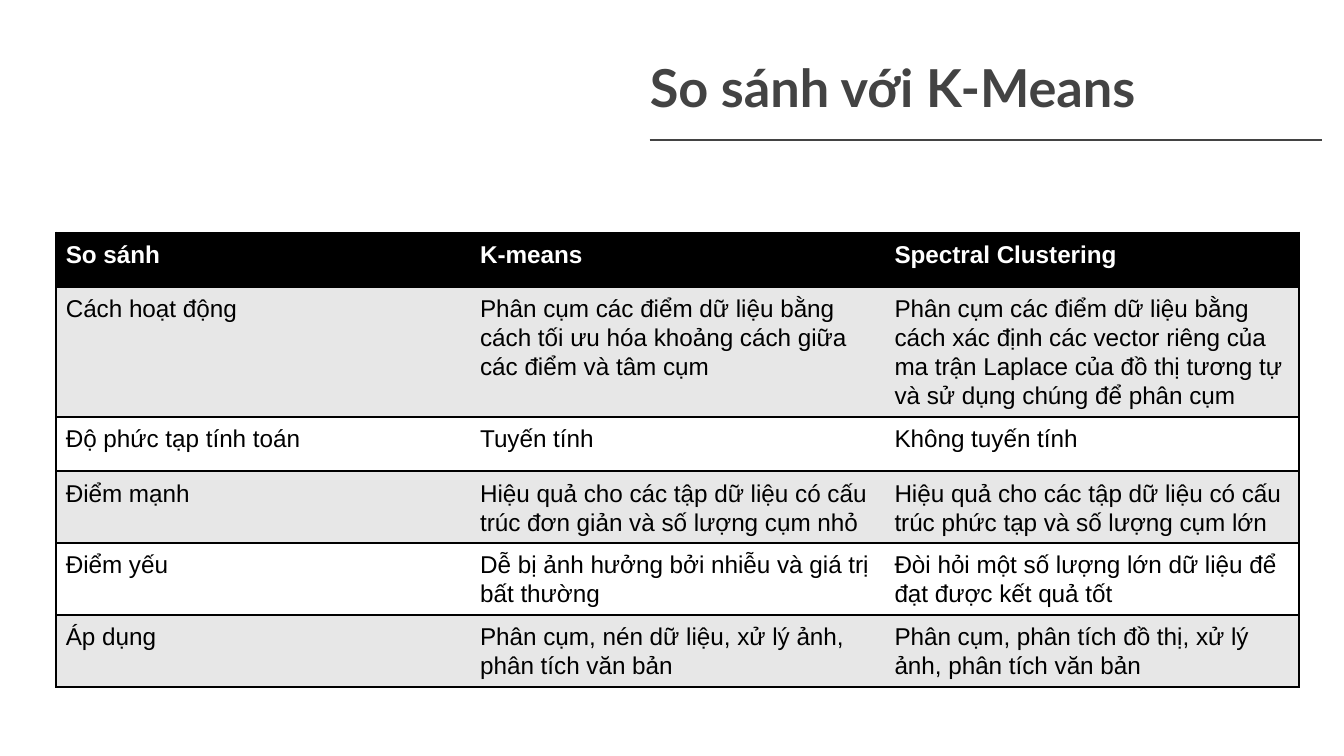
from dataclasses import dataclass

from lxml import etree
from pptx import Presentation
from pptx import util as u
from pptx.dml.color import RGBColor
from pptx.enum import shapes, text
from pptx.oxml.ns import qn

PX = 9525


@dataclass(frozen=True)
class Theme:
    ink: str = "434343"
    black: str = "000000"
    white: str = "FFFFFF"
    band: str = "E7E7E7"
    title_font: str = "Lato"
    body_font: str = "Arial"
    title_size: int = 28
    body_size: int = 13
    rule_width: float = 0.75
    border_width: int = 1


@dataclass(frozen=True)
class Row:
    topic: str
    k_means: str
    spectral: str

    def texts(self) -> tuple[str, str, str]:
        return self.topic, self.k_means, self.spectral


THEME = Theme()
ROWS = [
    Row("So sánh", "K-means", "Spectral Clustering"),
    Row(
        "Cách hoạt động",
        "Phân cụm các điểm dữ liệu bằng cách tối ưu hóa khoảng cách giữa các điểm và tâm cụm",
        "Phân cụm các điểm dữ liệu bằng cách xác định các vector riêng của ma trận Laplace "
        "của đồ thị tương tự và sử dụng chúng để phân cụm",
    ),
    Row("Độ phức tạp tính toán", "Tuyến tính", "Không tuyến tính"),
    Row(
        "Điểm mạnh",
        "Hiệu quả cho các tập dữ liệu có cấu trúc đơn giản và số lượng cụm nhỏ",
        "Hiệu quả cho các tập dữ liệu có cấu trúc phức tạp và số lượng cụm lớn",
    ),
    Row(
        "Điểm yếu",
        "Dễ bị ảnh hưởng bởi nhiễu và giá trị bất thường",
        "Đòi hỏi một số lượng lớn dữ liệu để đạt được kết quả tốt",
    ),
    Row(
        "Áp dụng",
        "Phân cụm, nén dữ liệu, xử lý ảnh, phân tích văn bản",
        "Phân cụm, phân tích đồ thị, xử lý ảnh, phân tích văn bản",
    ),
]


def px(length: int) -> u.Emu:
    return u.Emu(length * PX)


def set_margins(box, horizontal: int, vertical: int) -> None:
    box.margin_left = box.margin_right = px(horizontal)
    box.margin_top = box.margin_bottom = px(vertical)


def style_font(para, name: str, size: int, color: str, bold: bool) -> None:
    para.font.name = name
    para.font.size = u.Pt(size)
    para.font.bold = bold
    para.font.color.rgb = RGBColor.from_string(color)


def draw_rule(page, left: int, right: int, top: int) -> None:
    rule = page.shapes.add_connector(
        shapes.MSO_CONNECTOR.STRAIGHT, px(left), px(top), px(right), px(top)
    )
    rule.line.color.rgb = RGBColor.from_string(THEME.ink)
    rule.line.width = u.Pt(THEME.rule_width)
    etree.SubElement(rule._element.spPr, qn("a:effectLst"))


def draw_title(page, wording: str) -> None:
    title = page.shapes.title
    title.left, title.top, title.width, title.height = px(315), px(8), px(645), px(108)
    frame = title.text_frame
    frame.text = wording
    frame.word_wrap = True
    frame.auto_size = text.MSO_AUTO_SIZE.NONE
    frame.vertical_anchor = text.MSO_ANCHOR.MIDDLE
    set_margins(frame, 10, 10)
    para = frame.paragraphs[0]
    para.alignment = text.PP_ALIGN.CENTER
    para.line_spacing = 1.0
    style_font(para, THEME.title_font, THEME.title_size, THEME.ink, True)


def set_borders(cell, visible: set[str]) -> None:
    properties = cell._tc.get_or_add_tcPr()
    for index, side in enumerate("LRTB"):
        border = etree.Element(qn(f"a:ln{side}"), w=str(u.Pt(THEME.border_width)))
        if side in visible:
            fill = etree.SubElement(border, qn("a:solidFill"))
            etree.SubElement(fill, qn("a:srgbClr"), val=THEME.black)
        else:
            etree.SubElement(border, qn("a:noFill"))
        properties.insert(index, border)


def fill_cell(cell, wording: str, fill: str, color: str, bold: bool) -> None:
    cell.text = wording
    set_margins(cell, 7, 5)
    cell.fill.solid()
    cell.fill.fore_color.rgb = RGBColor.from_string(fill)
    para = cell.text_frame.paragraphs[0]
    para.line_spacing = 1.07
    style_font(para, THEME.body_font, THEME.body_size, color, bold)


def draw_table(page, rows: list[Row]) -> None:
    column_count, column_width, row_height = 3, 296, 39
    table = page.shapes.add_table(
        len(rows), column_count, px(40), px(166),
        px(column_count * column_width), px(len(rows) * row_height),
    ).table
    for row_index, row in enumerate(rows):
        header = row_index == 0
        fill = THEME.black if header else THEME.band if row_index % 2 else THEME.white
        color = THEME.white if header else THEME.black
        for column_index, wording in enumerate(row.texts()):
            cell = table.cell(row_index, column_index)
            fill_cell(cell, wording, fill, color, header)
            sides = {"T", "B"}
            if column_index == 0:
                sides.add("L")
            if column_index == column_count - 1:
                sides.add("R")
            set_borders(cell, sides)


def main() -> None:
    deck = Presentation()
    deck.slide_width, deck.slide_height = px(960), px(540)
    page = deck.slides.add_slide(deck.slide_layouts.get_by_name("Title Only"))
    draw_rule(page, 464, 944, 100)
    draw_title(page, "So sánh với K-Means")
    draw_table(page, ROWS)
    deck.save("out.pptx")


if __name__ == "__main__":
    main()
